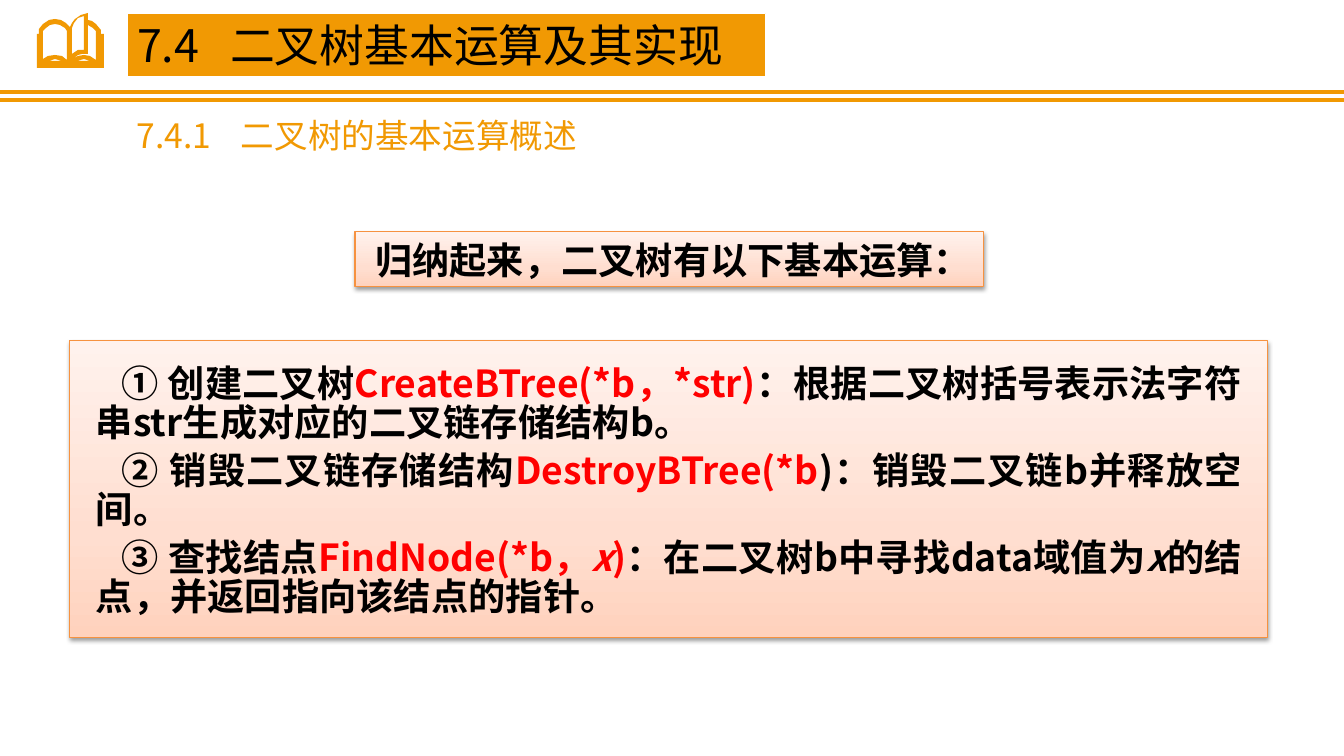
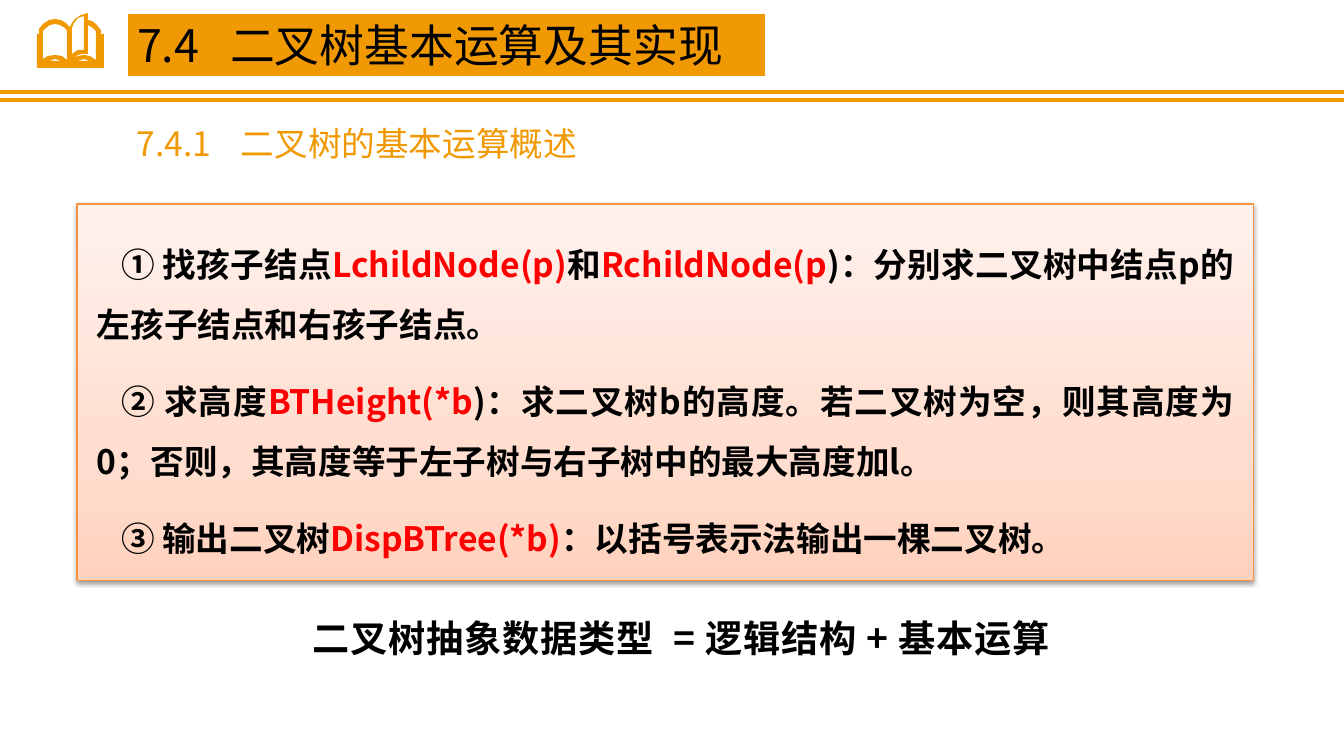
from lxml.etree import SubElement
from pptx import Presentation
from pptx.dml.color import RGBColor
from pptx.enum.shapes import MSO_CONNECTOR, MSO_SHAPE
from pptx.enum.text import MSO_ANCHOR, PP_ALIGN
from pptx.oxml.ns import qn
from pptx.util import Pt

PX = 9071
FONT = "Noto Sans CJK SC"
COLORS = {
    "orange": "F19903",
    "border": "F69240",
    "black": "000000",
    "red": "FF0000",
    "white": "FFFFFF",
}
PANEL_STOPS = [(0, "FFD2BD"), (35, "FFDED0"), (100, "FFF2ED")]

BOOK_OUTLINES = [
    [(101, 34), (101, 30), (96, 24), (92, 21), (88, 20), (88, 13), (81, 15),
     (75, 19), (72, 23), (70, 27), (66, 23), (61, 20), (55, 19), (49, 20),
     (43, 24), (39, 29), (39, 34), (37, 34), (37, 68), (104, 68), (104, 34)],
    [(49, 61), (55, 59), (62, 61)],
    [(67, 60), (62, 56), (55, 55), (48, 56), (43, 59), (43, 31), (46, 28),
     (50, 25), (55, 24), (60, 25), (65, 28), (67, 31)],
    [(84, 16), (84, 50), (78, 50), (72, 54), (72, 28), (74, 23), (78, 18)],
    [(77, 61), (84, 59), (90, 61)],
    [(96, 60), (90, 56), (84, 55), (78, 56), (73, 59), (78, 55), (82, 54),
     (88, 54), (88, 25), (93, 28), (96, 31)],
]

PAGES = [
    {
        "subtitle_top": 110,
        "panel": (70, 341, 1198, 297),
        "insets": (26, 25),
        "indent": 26,
        "size": 26.6,
        "line": 28,
        "gap": 6,
        "items": [
            [("① 创建二叉树", "black"), ("CreateBTree(*b，*str)", "red"),
             ("：根据二叉树括号表示法字符串str生成对应的二叉链存储结构b。", "black")],
            [("② 销毁二叉链存储结构", "black"), ("DestroyBTree(*b", "red"),
             (")：销毁二叉链b并释放空间。", "black")],
            [("③ 查找结点", "black"), ("FindNode(*b，", "red"), ("x", "red"), (")", "red"),
             ("：在二叉树b中寻找data域值为", "black"), ("x", "black"),
             ("的结点，并返回指向该结点的指针。", "black")],
        ],
    },
    {
        "subtitle_top": 118,
        "panel": (77, 204, 1177, 377),
        "insets": (20, 20),
        "indent": 24,
        "size": 24,
        "line": 43,
        "gap": 12,
        "items": [
            [("① 找孩子结点", "black"), ("LchildNode(p)", "red"), ("和", "black"),
             ("RchildNode(p", "red"),
             (")：分别求二叉树中结点p的左孩子结点和右孩子结点。", "black")],
            [("② 求高度", "black"), ("BTHeight(*b", "red"),
             (")：求二叉树b的高度。若二叉树为空，则其高度为0；否则，"
              "其高度等于左子树与右子树中的最大高度加l。", "black")],
            [("③ 输出二叉树", "black"), ("DispBTree(*b)", "red"),
             ("：以括号表示法输出一棵二叉树。", "black")],
        ],
    },
]


def add_span(para, text, size, color, bold=False):
    span = para.add_run()
    span.text = text
    span.font.size = Pt(size)
    span.font.bold = bold
    span.font.italic = text == "x"
    span.font.color.rgb = RGBColor.from_string(COLORS[color])
    span.font.name = FONT
    properties = span.font._element
    SubElement(properties, qn("a:ea"), typeface=FONT)
    return properties


def add_panel(page, place):
    panel = page.shapes.add_shape(MSO_SHAPE.RECTANGLE, *(n * PX for n in place))
    panel.fill.gradient()
    panel.fill.gradient_angle = 90
    stops = panel._element.spPr.find(".//" + qn("a:gsLst"))
    for stop in list(stops):
        stops.remove(stop)
    for percent, color in PANEL_STOPS:
        stop = SubElement(stops, qn("a:gs"), pos=str(percent * 1000))
        SubElement(stop, qn("a:srgbClr"), val=color)
    panel.line.color.rgb = RGBColor.from_string(COLORS["border"])
    panel.line.width = Pt(0.75)
    panel.shadow.inherit = False
    effects = panel._element.spPr.find(qn("a:effectLst"))
    shadow = SubElement(effects, qn("a:outerShdw"), blurRad=str(Pt(3.1)),
                        dist=str(Pt(1.6)), dir="5400000", rotWithShape="0")
    tint = SubElement(shadow, qn("a:srgbClr"), val=COLORS["black"])
    SubElement(tint, qn("a:alpha"), val="38000")
    panel.text_frame.word_wrap = True
    return panel


deck = Presentation()
deck.slide_width = 1344 * PX
deck.slide_height = 756 * PX
orange = RGBColor.from_string(COLORS["orange"])

for content in PAGES:
    page = deck.slides.add_slide(deck.slide_layouts[5])

    for y in (92, 100):
        rule = page.shapes.add_connector(MSO_CONNECTOR.STRAIGHT, 0, y * PX, deck.slide_width, y * PX)
        rule.line.color.rgb = orange
        rule.line.width = Pt(3)
        SubElement(rule._element.spPr, qn("a:effectLst"))

    builder = page.shapes.build_freeform(*BOOK_OUTLINES[0][0], scale=PX)
    builder.add_line_segments(BOOK_OUTLINES[0][1:])
    for outline in BOOK_OUTLINES[1:]:
        builder.move_to(*outline[0])
        builder.add_line_segments(outline[1:])
    book = builder.convert_to_shape()
    book.fill.solid()
    book.fill.fore_color.rgb = orange
    book.line.fill.background()
    book.shadow.inherit = False

    title = page.shapes.title
    title.left, title.top, title.width, title.height = (n * PX for n in (127, 13, 639, 64))
    title.fill.solid()
    title.fill.fore_color.rgb = orange
    title.line.color.rgb = RGBColor.from_string(COLORS["white"])
    title.line.width = Pt(0.75)
    subtitle = page.shapes.add_textbox(127 * PX, content["subtitle_top"] * PX, 638 * PX, 50 * PX)
    for box, text, size, color, tab in (
        (title, "7.4\t二叉树基本运算及其实现", 32, "black", 93),
        (subtitle, "7.4.1\t二叉树的基本运算概述", 24, "orange", 104),
    ):
        box.text_frame.word_wrap = True
        box.text_frame.vertical_anchor = MSO_ANCHOR.MIDDLE
        para = box.text_frame.paragraphs[0]
        para.alignment = PP_ALIGN.LEFT
        tabs = SubElement(para._p.get_or_add_pPr(), qn("a:tabLst"))
        SubElement(tabs, qn("a:tab"), pos=str(tab * PX), algn="l")
        add_span(para, text, size, color)

    panel = add_panel(page, content["panel"])
    frame = panel.text_frame
    frame.vertical_anchor = MSO_ANCHOR.TOP
    side, top = content["insets"]
    frame.margin_left = frame.margin_right = side * PX
    frame.margin_top = frame.margin_bottom = top * PX
    for number, item in enumerate(content["items"]):
        para = frame.add_paragraph() if number else frame.paragraphs[0]
        para.alignment = PP_ALIGN.JUSTIFY
        para.line_spacing = Pt(content["line"])
        para.space_before = Pt(content["gap"] if number else 0)
        para._p.get_or_add_pPr().set("indent", str(content["indent"] * PX))
        for text, color in item:
            add_span(para, text, content["size"], color, bold=True)

summary_page, formula_page = deck.slides

summary = add_panel(summary_page, (355, 232, 629, 55))
summary.text_frame.vertical_anchor = MSO_ANCHOR.MIDDLE
para = summary.text_frame.paragraphs[0]
para.alignment = PP_ALIGN.CENTER
para._p.get_or_add_pPr().set("marL", str(8 * PX))
add_span(para, "归纳起来，二叉树有以下基本运算：", 26.6, "black", bold=True)

formula = formula_page.shapes.add_textbox(178 * PX, 610 * PX, 1007 * PX, 55 * PX)
formula.text_frame.word_wrap = True
formula.text_frame.vertical_anchor = MSO_ANCHOR.MIDDLE
para = formula.text_frame.paragraphs[0]
para.alignment = PP_ALIGN.CENTER
for text, spacing in (("二叉树抽象数据类型", 50), (" ", 750), ("= 逻辑结构 + 基本运算", 50)):
    add_span(para, text, 26.6, "black", bold=True).set("spc", str(spacing))

deck.save("out.pptx")
